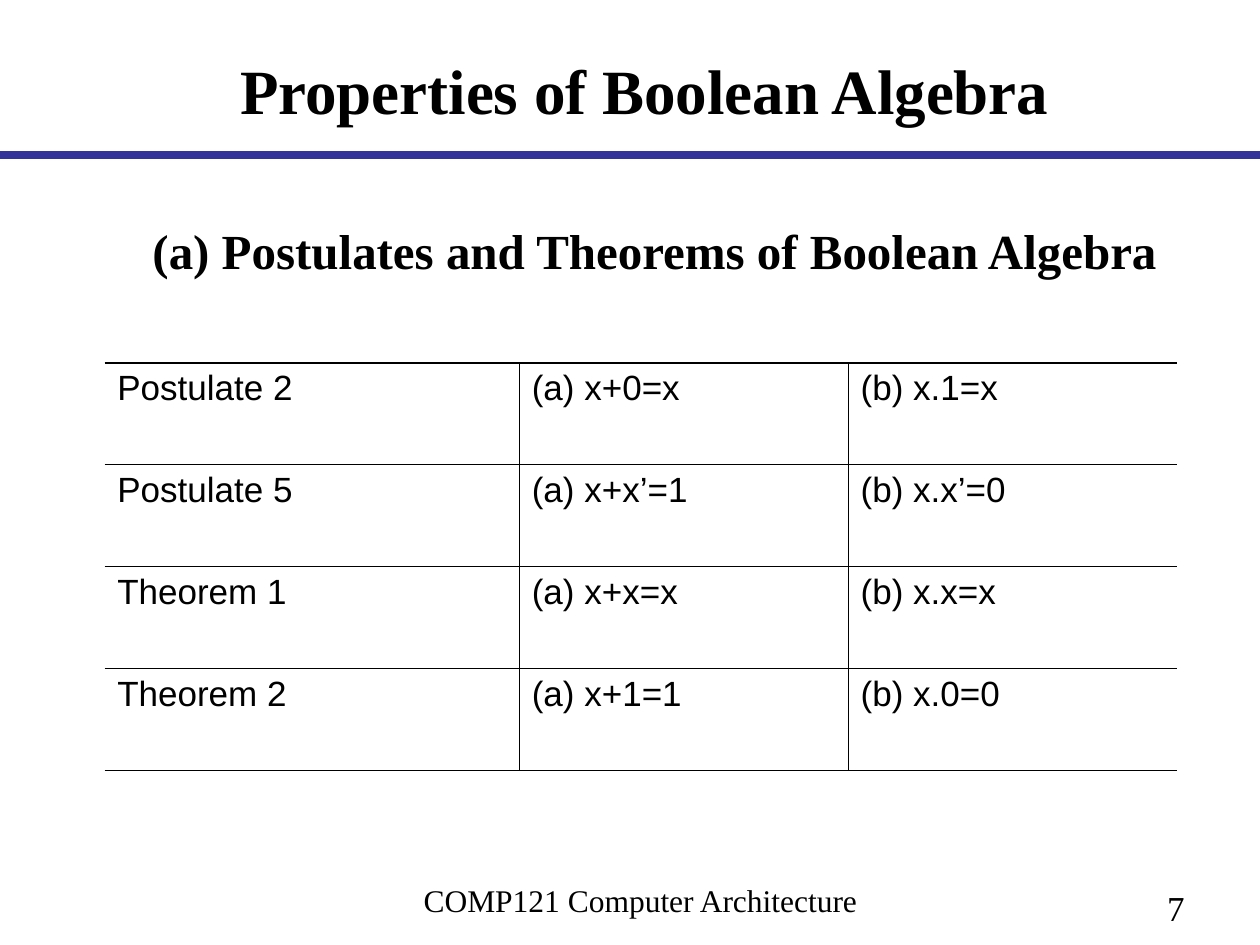
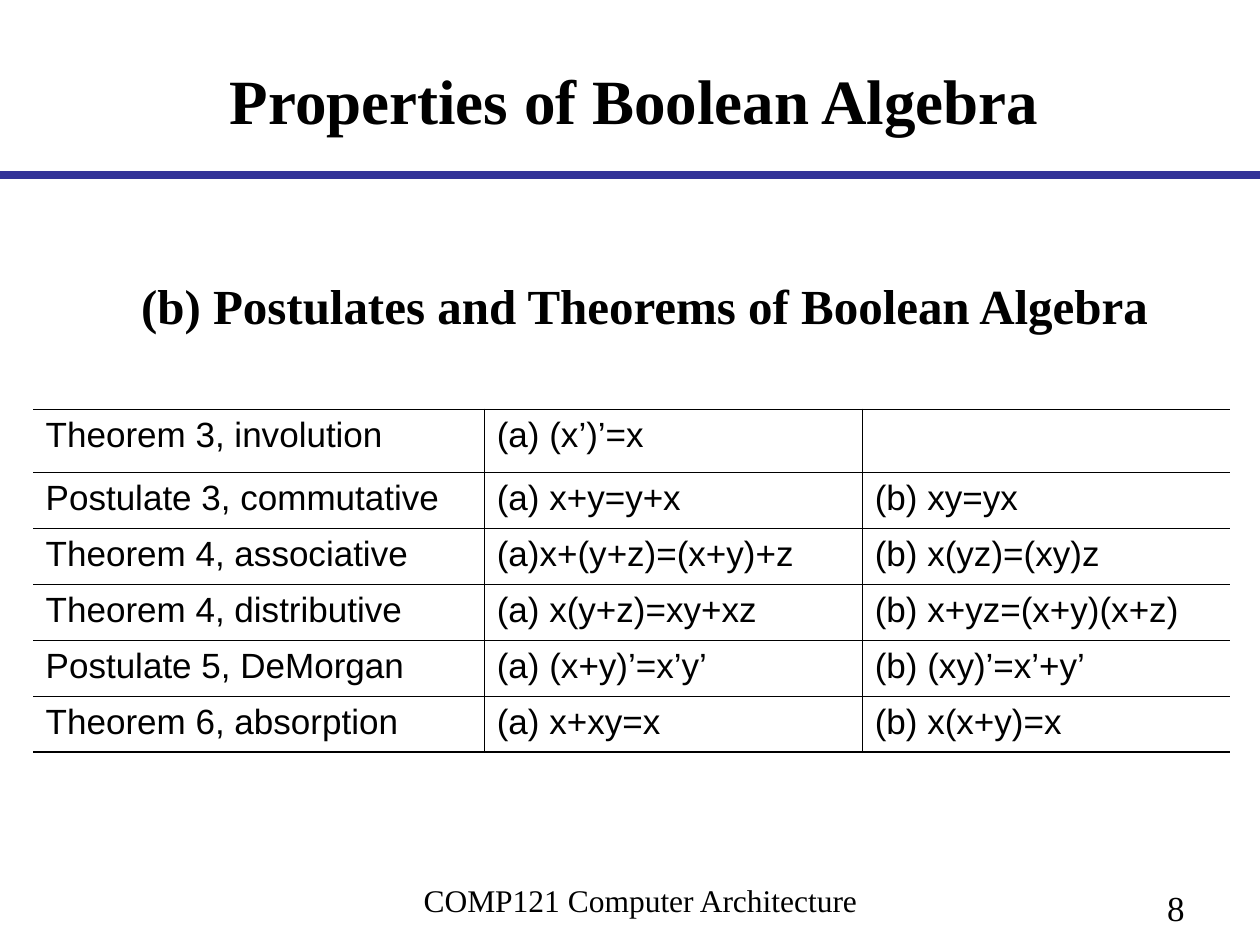
"""Build two slides on the postulates and theorems of Boolean algebra."""
from dataclasses import dataclass

from pptx import Presentation
from pptx import util as u
from pptx.dml import color
from pptx.enum import shapes, text
from pptx.oxml import parse_xml
from pptx.oxml.ns import nsdecls

Pt = u.Pt

TITLE = "Properties of Boolean Algebra"
FOOTER = "COMP121 Computer Architecture "

SLIDES = [
    dict(
        number=7,
        subtitle="(a) Postulates and Theorems of Boolean Algebra",
        title_at=(128.9, 25.9), subtitle_at=(78.5, 122.4), rule_y=88.6,
        table_at=(59.8, 207.4), widths=(236.9, 187.9, 187.9), heights=[58.2] * 4,
        rows=[
            ("Postulate 2", "(a) x+0=x", "(b) x.1=x"),
            ("Postulate 5", "(a) x+x’=1", "(b) x.x’=0"),
            ("Theorem 1", "(a) x+x=x", "(b) x.x=x"),
            ("Theorem 2", "(a) x+1=1", "(b) x.0=0"),
        ],
    ),
    dict(
        number=8,
        subtitle="(b) Postulates and Theorems of Boolean Algebra",
        title_at=(123.1, 31.7), subtitle_at=(72.7, 154.1), rule_y=100.1,
        table_at=(18.9, 234), widths=(257.8, 216, 210.2), heights=[36] + [32] * 5,
        rows=[
            ("Theorem 3, involution", "(a) (x’)’=x", ""),
            ("Postulate 3, commutative", "(a) x+y=y+x", "(b) xy=yx"),
            ("Theorem 4, associative", "(a)x+(y+z)=(x+y)+z", "(b) x(yz)=(xy)z"),
            ("Theorem 4, distributive", "(a) x(y+z)=xy+xz", "(b) x+yz=(x+y)(x+z)"),
            ("Postulate 5, DeMorgan", "(a) (x+y)’=x’y’", "(b) (xy)’=x’+y’"),
            ("Theorem 6, absorption", "(a) x+xy=x", "(b) x(x+y)=x"),
        ],
    ),
]


@dataclass(frozen=True)
class Theme:
    ink: str = "000000"
    rule: str = "333399"
    serif: str = "Times New Roman"
    sans: str = "Arial"
    title: float = 36
    subtitle: float = 28
    body: float = 20
    footer: float = 18
    rule_width: float = 4.5
    edge: float = 1.08
    grid: float = 0.45


T = Theme()
SLIDE_W, SLIDE_H = 720, 540
TITLE_SIZE, SUBTITLE_SIZE = (478.8, 50.4), (591, 41)
NUMBER_BOX = (534.2, 498.2, 149.8, 36)
FOOTER_BOX = (167, 485.3, 402.5, 43.2)


def style(p, font, size, bold=False):
    for r in p.runs:
        r.font.name, r.font.size, r.font.bold = font, Pt(size), bold
        r.font.color.rgb = color.RGBColor.from_string(T.ink)


def add_text(s, words, box, size, align=text.PP_ALIGN.CENTER, bold=False,
             wrap=False, anchor=text.MSO_ANCHOR.TOP):
    tf = s.shapes.add_textbox(*map(Pt, box)).text_frame
    tf.text = words
    tf.word_wrap = wrap
    tf.vertical_anchor = anchor
    p = tf.paragraphs[0]
    p.alignment = align
    style(p, T.serif, size, bold)


def add_rule(s, y):
    line = s.shapes.add_connector(shapes.MSO_CONNECTOR.STRAIGHT, 0, Pt(y), Pt(SLIDE_W), Pt(y))
    line.line.color.rgb = color.RGBColor.from_string(T.rule)
    line.line.width = Pt(T.rule_width)
    line._element.spPr.append(parse_xml(f"<a:effectLst {nsdecls('a')}/>"))


def set_border(cell, side, width):
    paint = f'<a:solidFill><a:srgbClr val="{T.ink}"/></a:solidFill>' if width else "<a:noFill/>"
    cell._tc.get_or_add_tcPr().append(parse_xml(
        f'<a:ln{side} {nsdecls("a")} w="{Pt(width)}">{paint}</a:ln{side}>'))


def add_laws(s, at, widths, heights, rows):
    box = (*at, sum(widths), sum(heights))
    table = s.shapes.add_table(len(rows), len(widths), *map(Pt, box)).table
    table.first_row = table.horz_banding = False
    for column, width in zip(table.columns, widths):
        column.width = Pt(width)
    for row, height in zip(table.rows, heights):
        row.height = Pt(height)
    last_row, last_col = len(rows) - 1, len(widths) - 1
    for i, row in enumerate(rows):
        for j, words in enumerate(row):
            cell = table.cell(i, j)
            cell.text_frame.text = words
            p = cell.text_frame.paragraphs[0]
            p.space_before = Pt(5)
            style(p, T.sans, T.body)
            set_border(cell, "L", T.grid if j else 0)
            set_border(cell, "R", T.grid if j < last_col else 0)
            set_border(cell, "T", T.grid if i else T.edge)
            set_border(cell, "B", T.grid if i < last_row else T.edge)
            cell.fill.background()


def add_slide(prs, d):
    s = prs.slides.add_slide(prs.slide_layouts[6])
    add_text(s, TITLE, d["title_at"] + TITLE_SIZE, T.title, bold=True)
    add_laws(s, d["table_at"], d["widths"], d["heights"], d["rows"])
    add_text(s, d["subtitle"], d["subtitle_at"] + SUBTITLE_SIZE, T.subtitle, bold=True)
    add_rule(s, d["rule_y"])
    bottom = text.MSO_ANCHOR.BOTTOM
    add_text(s, str(d["number"]), NUMBER_BOX, T.body, text.PP_ALIGN.RIGHT,
             wrap=True, anchor=bottom)
    add_text(s, FOOTER, FOOTER_BOX, T.footer, wrap=True, anchor=bottom)


def main():
    prs = Presentation()
    prs.slide_width, prs.slide_height = Pt(SLIDE_W), Pt(SLIDE_H)
    for d in SLIDES:
        add_slide(prs, d)
    prs.save("out.pptx")


if __name__ == "__main__":
    main()
